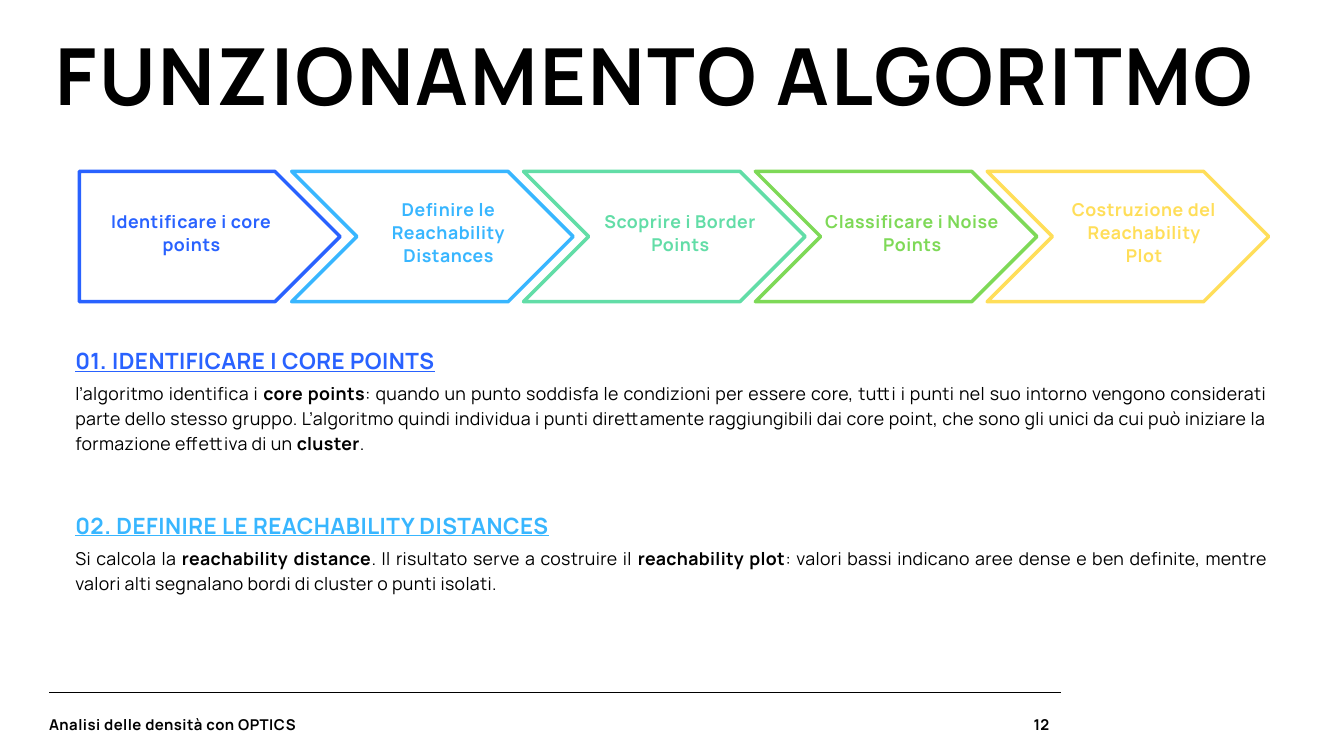
from dataclasses import dataclass

from lxml.etree import SubElement
from pptx import Presentation
from pptx.dml.color import RGBColor
from pptx.enum.shapes import MSO_CONNECTOR as CONN, MSO_SHAPE as SHAPE
from pptx.enum.text import MSO_ANCHOR as ANCHOR, PP_ALIGN as ALIGN
from pptx.oxml.ns import qn
from pptx.util import Inches, Pt


@dataclass(frozen=True)
class Theme:
    """Font, colours and type styles (size, line spacing, tracking in points)."""
    font: str = "Manrope"
    ink: str = "000000"
    blue: str = "2962FF"
    sky: str = "38B6FF"
    mint: str = "62DDA7"
    green: str = "7ED957"
    yellow: str = "FFDE59"
    title: tuple = (84.3, 92.7, 2.5)
    heading: tuple = (24, 33.6, 0.5)
    body: tuple = (19, 26.6, 0.4)
    step: tuple = (19, 24.7, 0.6)
    footer: tuple = (16, 20.8, 0.5)


THEME = Theme()

STEPS = [
    (["Identificare i core points"], THEME.blue),
    (["Definire le Reachability Distances"], THEME.sky),
    (["Scoprire i Border Points"], THEME.mint),
    (["Classificare i Noise Points"], THEME.green),
    (["Costruzione del Reachability", "Plot"], THEME.yellow),
]

SECTIONS = [
    (5.1, "01. IDENTIFICARE I CORE POINTS", THEME.blue, 1.46, [
        ("l’algoritmo identifica i ", False),
        ("core points", True),
        (": quando un punto soddisfa le condizioni per essere core, tutti i punti "
         "nel suo intorno vengono considerati parte dello stesso gruppo. "
         "L’algoritmo quindi individua i punti direttamente raggiungibili dai core "
         "point, che sono gli unici da cui può iniziare la formazione effettiva "
         "di un ", False),
        ("cluster", True),
        (".", False),
    ]),
    (7.55, "02. DEFINIRE LE REACHABILITY DISTANCES", THEME.sky, 0.73, [
        ("Si calcola la", False),
        (" reachability distance", True),
        (". Il risultato serve a costruire il ", False),
        ("reachability plot", True),
        (": valori bassi indicano aree dense e ben definite, mentre valori alti "
         "segnalano bordi di cluster o punti isolati.", False),
    ]),
]


def add_text(slide, box, paragraphs, style, color=THEME.ink, align=ALIGN.LEFT,
             anchor=ANCHOR.TOP, inset=0, underline=False):
    """Add a text box whose paragraphs are lists of (text, bold) runs."""
    size, leading, tracking = style
    tf = slide.shapes.add_textbox(*map(Inches, box)).text_frame
    tf.word_wrap = True
    tf.vertical_anchor = anchor
    tf.margin_left = tf.margin_top = tf.margin_right = tf.margin_bottom = Inches(inset)
    for i, runs in enumerate(paragraphs):
        p = tf.add_paragraph() if i else tf.paragraphs[0]
        p.alignment = align
        p.line_spacing = Pt(leading)
        for text, bold in runs:
            r = p.add_run()
            r.text = text
            r.font.name = THEME.font
            r.font.size = Pt(size)
            r.font.bold = bold
            r.font.underline = underline
            r.font.color.rgb = RGBColor.from_string(color)
            r.font._element.set("spc", str(round(tracking * 100)))


def add_title(slide, box):
    """Add the slide title."""
    add_text(slide, box, [[("FUNZIONAMENTO ALGORITMO", True)]], THEME.title,
             align=ALIGN.JUSTIFY)


def add_process(slide, box):
    """Add the row of outlined arrows, a pentagon followed by chevrons."""
    left, top, width, height = box
    point = height / 2
    chevron_w, pitch = 4.19, 3.45
    first_chevron = left + width - chevron_w - pitch * (len(STEPS) - 2)
    for i, (lines, color) in enumerate(STEPS):
        if i:
            kind, x, w = SHAPE.CHEVRON, first_chevron + pitch * (i - 1), chevron_w
            label_x, label_w = x + 0.85, 2.97
        else:
            kind, x, w = SHAPE.PENTAGON, left, 3.88
            label_x, label_w = x, w - point + 0.43
        sp = slide.shapes.add_shape(kind, *map(Inches, (x, top, w, height)))
        sp.shadow.inherit = False
        sp.fill.background()
        sp.line.color.rgb = RGBColor.from_string(color)
        sp.line.width = Pt(3.75)
        add_text(slide, (label_x, top - 0.14, label_w, height + 0.14),
                 [[(line, True)] for line in lines], THEME.step, color,
                 ALIGN.CENTER, ANCHOR.MIDDLE, 0.06)


def add_section(slide, box, heading, color, runs):
    """Add an underlined heading with a justified paragraph below it."""
    left, top, width, body_h = box
    add_text(slide, (left, top, 11.55, 0.45), [[(heading, True)]], THEME.heading,
             color, ALIGN.JUSTIFY, underline=True)
    add_text(slide, (left, top + 0.55, width, body_h), [runs], THEME.body,
             align=ALIGN.JUSTIFY)


def add_footer(slide, box):
    """Add the footer rule, the deck name and the page number."""
    left, top, width, height = box
    rule = slide.shapes.add_connector(
        CONN.STRAIGHT, *map(Inches, (left, top, left + width, top)))
    rule.line.color.rgb = RGBColor.from_string(THEME.ink)
    rule.line.width = Pt(0.75)
    SubElement(rule._element.spPr, qn("a:effectLst"))
    text_y, text_h = top + 0.33, height - 0.33
    add_text(slide, (left, text_y, 5, text_h),
             [[("Analisi delle densità con OPTICS", True)]], THEME.footer)
    add_text(slide, (left + width - 0.41, text_y, 0.3, text_h),
             [[("12", True)]], THEME.footer)


def main():
    """Build the slide and save it."""
    prs = Presentation()
    prs.slide_width, prs.slide_height = Inches(20), Inches(11.25)
    slide = prs.slides.add_slide(prs.slide_layouts[6])
    add_title(slide, (0.83, 0.51, 18.34, 1.31))
    add_process(slide, (1.18, 2.55, 17.7, 1.94))
    for top, heading, color, body_h, runs in SECTIONS:
        add_section(slide, (1.12, top, 17.75, body_h), heading, color, runs)
    add_footer(slide, (0.73, 10.3, 15.06, 0.62))
    prs.save("out.pptx")


if __name__ == "__main__":
    main()
